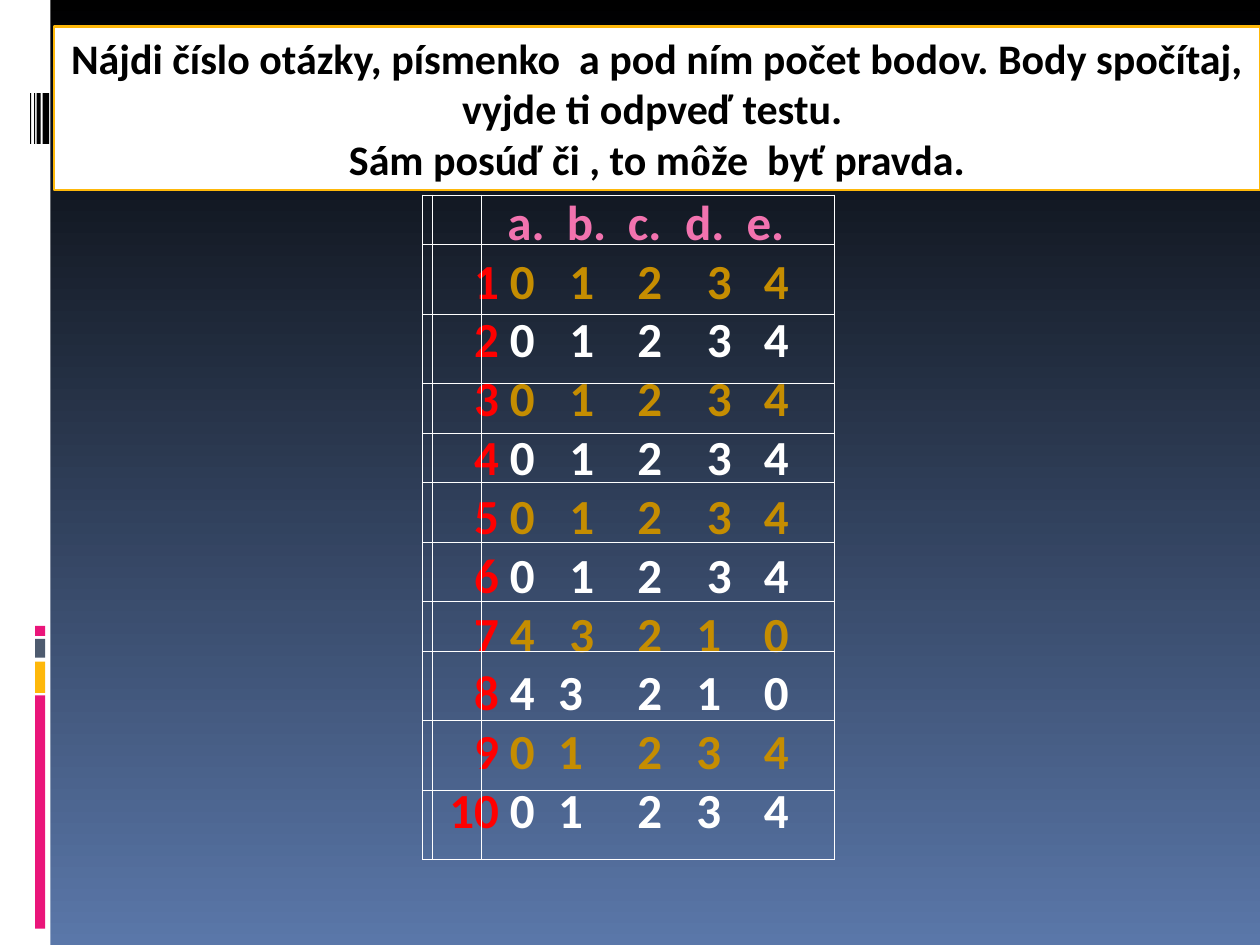
from lxml import etree
from pptx import Presentation
from pptx.dml.color import RGBColor
from pptx.enum.shapes import MSO_SHAPE
from pptx.enum.text import MSO_ANCHOR, PP_ALIGN
from pptx.oxml.ns import qn
from pptx.util import Cm, Pt

RECTANGLE = MSO_SHAPE.RECTANGLE
CENTER = PP_ALIGN.CENTER
TOP = MSO_ANCHOR.TOP

WHITE, BLACK, RED = "FFFFFF", "000000", "FF0000"
PINK, MAGENTA, GOLD, AMBER, SLATE = "F273AF", "EA157A", "C58D01", "FEB80A", "4E5B6F"

SIDEBAR = [
    (0, 0, 1.02, 19.05, WHITE),
    (0.71, 14.02, 0.2, 4.7, MAGENTA),
    (0.71, 13.34, 0.2, 0.63, AMBER),
    (0.71, 12.88, 0.2, 0.38, SLATE),
    (0.71, 12.62, 0.2, 0.2, MAGENTA),
    (0.86, 1.88, 0.13, 1.02, BLACK),
    (0.74, 1.88, 0.08, 1.02, BLACK),
    (0.69, 1.88, 0.02, 1.02, BLACK),
    (0.61, 1.88, 0.02, 1.02, BLACK),
]

NUMBER_TAB = 4.5
HEADER_TABS = [4.67, 5.87, 7.1, 8.25, 9.49]
EARLY_TABS = [4.72, 5.92, 7.29, 8.69, 9.84]
SEVENTH_TABS = [4.72, 5.92, 7.29, 8.48, 9.84]
LATE_TABS = [4.72, 5.69, 7.29, 8.48, 9.84]
RISING, FALLING = "01234", "43210"
QUESTIONS = (
    [(RISING, EARLY_TABS)] * 6
    + [(FALLING, SEVENTH_TABS), (FALLING, LATE_TABS)]
    + [(RISING, LATE_TABS)] * 2
)

GRID_LEFT, GRID_TOP, GRID_WIDTH = 8.51, 3.93, 8.3
ROW_HEIGHTS = [1.0, 1.4, 1.4, 1.0, 1.0, 1.2, 1.2, 1.0, 1.4, 1.4, 1.4]


def rgb(value):
    return RGBColor.from_string(value)


def set_background(slide, top_color, bottom_color):
    fill = slide.background.fill
    fill.gradient()
    fill.gradient_angle = 270
    for stop, color, position in zip(fill.gradient_stops, (top_color, bottom_color), (0, 1)):
        stop.color.rgb = rgb(color)
        stop.position = position


def add_block(slide, left, top, width, height, color):
    block = slide.shapes.add_shape(RECTANGLE, Cm(left), Cm(top), Cm(width), Cm(height))
    block.shadow.inherit = False
    block.fill.solid()
    block.fill.fore_color.rgb = rgb(color)
    block.line.fill.background()
    return block


def set_tabs(paragraph, stops):
    tab_list = etree.SubElement(paragraph._p.get_or_add_pPr(), qn("a:tabLst"))
    for position, side in stops:
        etree.SubElement(tab_list, qn("a:tab"), pos=str(Cm(position)), algn=side)


def set_font(paragraph, size):
    paragraph.font.name = "Calibri"
    paragraph.font.size = Pt(size)
    paragraph.font.bold = True


def add_run(paragraph, text, color):
    run = paragraph.add_run()
    run.text = text
    run.font.color.rgb = rgb(color)
    return run


def tabbed(values):
    return "".join("\t" + value for value in values)


def add_scores(slide):
    frame = slide.shapes.add_textbox(Cm(5.31), Cm(3.73), Cm(15.95), Cm(13.31)).text_frame
    frame.word_wrap = True
    header = frame.paragraphs[0]
    set_tabs(header, [(stop, "l") for stop in HEADER_TABS])
    set_font(header, 28)
    add_run(header, tabbed(["a.", "b.", "c.", "d.", "e."]), PINK)
    for number, (points, stops) in enumerate(QUESTIONS, 1):
        row = frame.add_paragraph()
        set_tabs(row, [(NUMBER_TAB, "r")] + [(stop, "l") for stop in stops])
        set_font(row, 28)
        add_run(row, f"\t{number}", RED)
        add_run(row, tabbed(points), GOLD if number % 2 else WHITE)


def add_frame(slide, left, top, width, height):
    table = slide.shapes.add_table(1, 1, Cm(left), Cm(top), Cm(width), Cm(height)).table
    table.first_row = False
    table.horz_banding = False
    cell = table.cell(0, 0)
    cell.margin_left = cell.margin_right = cell.margin_top = cell.margin_bottom = 0
    properties = cell._tc.get_or_add_tcPr()
    for side in ("lnL", "lnR", "lnT", "lnB"):
        border = etree.SubElement(properties, qn(f"a:{side}"), w=str(Pt(0.45)))
        fill = etree.SubElement(border, qn("a:solidFill"))
        etree.SubElement(fill, qn("a:srgbClr"), val=WHITE)
    cell.fill.background()


def add_grid(slide):
    top = GRID_TOP
    for height in ROW_HEIGHTS:
        add_frame(slide, GRID_LEFT, top, GRID_WIDTH, height)
        top += height
    add_frame(slide, 8.71, GRID_TOP, 1, sum(ROW_HEIGHTS))


def add_instructions(slide):
    banner = add_block(slide, 1.09, 0.53, 24.31, 3.3, WHITE)
    banner.line.color.rgb = rgb(AMBER)
    banner.line.width = Pt(1.5)
    frame = banner.text_frame
    frame.word_wrap = True
    frame.vertical_anchor = TOP
    task = frame.paragraphs[0]
    verdict = frame.add_paragraph()
    for paragraph in (task, verdict):
        paragraph.alignment = CENTER
        set_font(paragraph, 24)
    add_run(
        task,
        "Nájdi číslo otázky, písmenko  a pod ním počet bodov. "
        "Body spočítaj, vyjde ti odpveď testu. ",
        BLACK,
    )
    add_run(verdict, "Sám posúď či , to m", BLACK)
    add_run(verdict, "ô", BLACK).font.name = "Times New Roman"
    add_run(verdict, "že  byť pravda.", BLACK)


def main():
    presentation = Presentation()
    presentation.slide_width = Cm(25.4)
    presentation.slide_height = Cm(19.05)
    slide = presentation.slides.add_slide(presentation.slide_layouts[6])
    set_background(slide, BLACK, "5A77A9")
    for block in SIDEBAR:
        add_block(slide, *block)
    add_scores(slide)
    add_grid(slide)
    add_instructions(slide)
    presentation.save("out.pptx")


if __name__ == "__main__":
    main()
